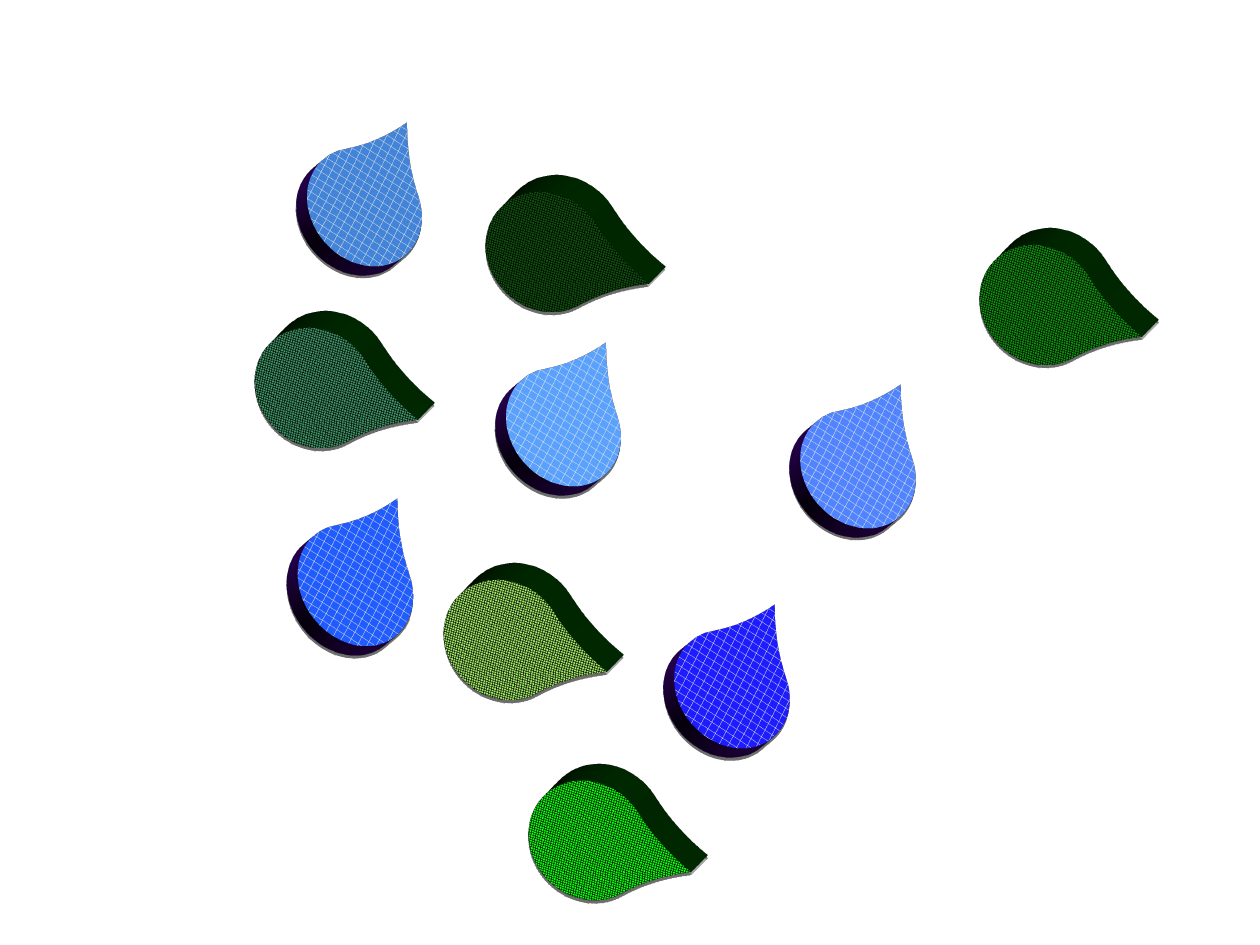
from lxml import etree
from pptx import Presentation
from pptx.dml.color import RGBColor as RGB
from pptx.enum.dml import MSO_PATTERN as PAT
from pptx.enum.shapes import MSO_SHAPE as SHAPE
from pptx.oxml.ns import nsdecls, qn
from pptx.util import Inches

BLACK = RGB(0x00, 0x00, 0x00)
CREAM = RGB(0xEE, 0xEC, 0xE1)
MOSS = RGB(0x00, 0x33, 0x00)
PLUM = RGB(0x33, 0x00, 0x66)

LEAVES = [
    (7.75, 1.92, 1, RGB(0x00, 0x80, 0x00)),
    (4.17, 6.17, 1, RGB(0x00, 0xFF, 0x01)),
    (2, 2.58, 1, RGB(0x2F, 0x84, 0x55)),
    (3.5, 4.58, 1, RGB(0x8D, 0xD6, 0x54)),
    (3.83, 1.5, 1, RGB(0x00, 0x41, 0x00)),
]
DROPS = [
    (5.31, 4.97, 1, RGB(0x00, 0x00, 0xFF)),
    (3.97, 2.89, 1, RGB(0x3D, 0x83, 0xFF)),
    (2.39, 1.14, 1, RGB(0x25, 0x66, 0xBA)),
    (2.32, 4.13, 1.03, RGB(0x04, 0x3E, 0xE1)),
    (6.31, 3.22, 1, RGB(0x33, 0x66, 0xFF)),
]
GROUPS = [
    (LEAVES, 0, PAT.SMALL_CHECKER_BOARD, BLACK, MOSS, (25, 353, 299), 0.43),
    (DROPS, 289.6, PAT.PERCENT_30, CREAM, PLUM, (346.5, 329.6, 308.2), 0.21),
]


def add_xml(node, text):
    head, tail = text.split(" ", 1)
    node.append(etree.fromstring(f"{head} {nsdecls('a')} {tail}"))


def add_depth(shape, turn, depth, side):
    lat, lon, rev = (round(deg * 60000) for deg in turn)
    props = shape._element.spPr
    add_xml(
        props.find(qn("a:effectLst")),
        '<a:outerShdw blurRad="40000" dist="23000" dir="5400000" rotWithShape="0">'
        '<a:srgbClr val="000000"><a:alpha val="35000"/></a:srgbClr></a:outerShdw>',
    )
    add_xml(
        props,
        '<a:scene3d ><a:camera prst="orthographicFront">'
        f'<a:rot lat="{lat}" lon="{lon}" rev="{rev}"/></a:camera>'
        '<a:lightRig rig="threePt" dir="t"/></a:scene3d>',
    )
    add_xml(
        props,
        f'<a:sp3d extrusionH="{Inches(depth)}"><a:extrusionClr>'
        f'<a:srgbClr val="{side}"/></a:extrusionClr></a:sp3d>',
    )


prs = Presentation()
prs.slide_width, prs.slide_height = Inches(10), Inches(7.5)
slide = prs.slides.add_slide(prs.slide_layouts[6])

for items, angle, pattern, fore, side, turn, depth in GROUPS:
    for left, top, height, back in items:
        tear = slide.shapes.add_shape(
            SHAPE.TEAR, Inches(left), Inches(top), Inches(1), Inches(height)
        )
        tear.adjustments[0] = 1.238
        tear.rotation = angle
        tear.fill.patterned()
        tear.fill.pattern = pattern
        tear.fill.fore_color.rgb = fore
        tear.fill.back_color.rgb = back
        tear.line.fill.background()
        tear.shadow.inherit = False
        add_depth(tear, turn, depth, side)

prs.save("out.pptx")
